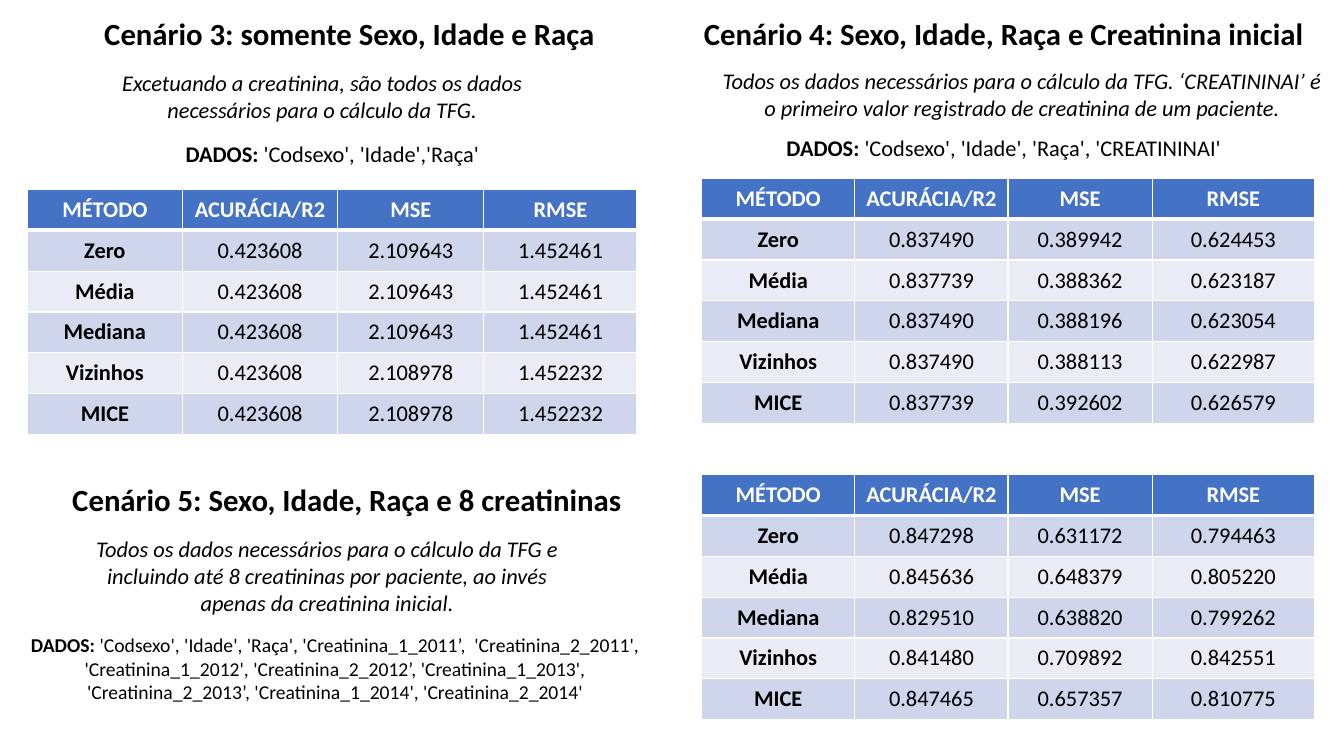
from dataclasses import dataclass

from lxml import etree
from pptx import Presentation
from pptx import util as u
from pptx.dml.color import RGBColor
from pptx.enum import text
from pptx.oxml.ns import qn

SLIDE_W, SLIDE_H = 13.33, 7.5
FONT = "Calibri"
BLACK, WHITE = "000000", "FFFFFF"
HEADER_FILL, BANDS = "4472C4", ("CFD5EA", "E9EBF5")
HEADER = ("MÉTODO", "ACURÁCIA/R2", "MSE", "RMSE")
METHODS = ("Zero", "Média", "Mediana", "Vizinhos", "MICE")
ROW_H = 5.4
LEFT_COLS = (11.55, 11.55, 10.88, 11.4)
RIGHT_COLS = (11.4, 11.4, 10.73, 12.08)


@dataclass(frozen=True)
class Box:
    left: float
    top: float
    width: float
    height: float


@dataclass(frozen=True)
class Label:
    box: Box
    words: str
    size: int = 16


@dataclass(frozen=True)
class Results:
    left: float
    top: float
    cols: tuple[float, ...]
    values: tuple[tuple[str, str, str], ...]


@dataclass(frozen=True)
class Scenario:
    title: Label
    note: Label
    data: Label
    results: Results


SCENARIOS = (
    Scenario(
        Label(Box(4.05, 1.33, 43.89, 6.27), "Cenário 3: somente Sexo, Idade e Raça", 22),
        Label(Box(5.48, 8.53, 36.98, 8.53),
              "Excetuando a creatinina, são todos os dados necessários para o cálculo da TFG."),
        Label(Box(3.38, 17.87, 42.69, 4.93), "'Codsexo', 'Idade','Raça'"),
        Results(2.03, 25.07, LEFT_COLS, (
            ("0.423608", "2.109643", "1.452461"),
            ("0.423608", "2.109643", "1.452461"),
            ("0.423608", "2.109643", "1.452461"),
            ("0.423608", "2.108978", "1.452232"),
            ("0.423608", "2.108978", "1.452232"))),
    ),
    Scenario(
        Label(Box(49.36, 1.33, 50.64, 6.27),
              "Cenário 4: Sexo, Idade, Raça e Creatinina inicial", 22),
        Label(Box(52.74, 8.27, 46.59, 8.53),
              "Todos os dados necessários para o cálculo da TFG. ‘CREATININAI’ é "
              "o primeiro valor registrado de creatinina de um paciente."),
        Label(Box(53.34, 17.07, 42.69, 4.93), "'Codsexo', 'Idade', 'Raça', 'CREATININAI'"),
        Results(52.21, 23.6, RIGHT_COLS, (
            ("0.837490", "0.389942", "0.624453"),
            ("0.837739", "0.388362", "0.623187"),
            ("0.837490", "0.388196", "0.623054"),
            ("0.837490", "0.388113", "0.622987"),
            ("0.837739", "0.392602", "0.626579"))),
    ),
    Scenario(
        Label(Box(1.65, 62.93, 48.31, 6.27), "Cenário 5: Sexo, Idade, Raça e 8 creatininas", 22),
        Label(Box(4.8, 70.13, 39.08, 12.13),
              "Todos os dados necessários para o cálculo da TFG e incluindo até 8 "
              "creatininas por paciente, ao invés apenas da creatinina inicial."),
        Label(Box(1.28, 83.07, 47.34, 10.8),
              "'Codsexo', 'Idade', 'Raça', 'Creatinina_1_2011’,  'Creatinina_2_2011', "
              "'Creatinina_1_2012', 'Creatinina_2_2012’, 'Creatinina_1_2013', "
              "'Creatinina_2_2013’, 'Creatinina_1_2014', 'Creatinina_2_2014'", 14),
        Results(52.21, 62.8, RIGHT_COLS, (
            ("0.847298", "0.631172", "0.794463"),
            ("0.845636", "0.648379", "0.805220"),
            ("0.829510", "0.638820", "0.799262"),
            ("0.841480", "0.709892", "0.842551"),
            ("0.847465", "0.657357", "0.810775"))),
    ),
)


def across(percent: float) -> int:
    return u.Inches(SLIDE_W * percent / 100)


def down(percent: float) -> int:
    return u.Inches(SLIDE_H * percent / 100)


def rgb(value: str) -> RGBColor:
    return RGBColor.from_string(value)


def style(p, size: int, color: str = BLACK) -> None:
    p.alignment = text.PP_ALIGN.CENTER
    p.font.name = FONT
    p.font.size = u.Pt(size)
    p.font.color.rgb = rgb(color)


def add_label(s, label: Label):
    b = label.box
    sp = s.shapes.add_textbox(across(b.left), down(b.top), across(b.width), down(b.height))
    tf = sp.text_frame
    tf.word_wrap = True
    tf.auto_size = text.MSO_AUTO_SIZE.SHAPE_TO_FIT_TEXT
    p = tf.paragraphs[0]
    style(p, label.size)
    return p


def add_borders(cell, top: int, bottom: int) -> None:
    tc_pr = cell._tc.get_or_add_tcPr()
    for side, width in (("L", 1), ("R", 1), ("T", top), ("B", bottom)):
        ln = etree.SubElement(tc_pr, qn(f"a:ln{side}"), w=str(u.Pt(width)))
        fill = etree.SubElement(ln, qn("a:solidFill"))
        etree.SubElement(fill, qn("a:srgbClr"), val=WHITE)


def add_results(s, results: Results) -> None:
    rows = [HEADER] + [(m, *v) for m, v in zip(METHODS, results.values)]
    table = s.shapes.add_table(
        len(rows), len(HEADER), across(results.left), down(results.top),
        across(sum(results.cols)), down(ROW_H * len(rows))).table
    for column, width in zip(table.columns, results.cols):
        column.width = across(width)
    for i, row in enumerate(rows):
        table.rows[i].height = down(ROW_H)
        for j, words in enumerate(row):
            cell = table.cell(i, j)
            add_borders(cell, 3 if i == 1 else 1, 3 if i == 0 else 1)
            cell.fill.solid()
            cell.fill.fore_color.rgb = rgb(BANDS[(i - 1) % 2] if i else HEADER_FILL)
            cell.vertical_anchor = text.MSO_ANCHOR.MIDDLE
            p = cell.text_frame.paragraphs[0]
            p.add_run().text = words
            style(p, 16, BLACK if i else WHITE)
            p.font.bold = i == 0 or j == 0


def add_scenario(s, scenario: Scenario) -> None:
    p = add_label(s, scenario.title)
    p.add_run().text = scenario.title.words
    p.font.bold = True

    p = add_label(s, scenario.data)
    r = p.add_run()
    r.text = "DADOS: "
    r.font.bold = True
    p.add_run().text = scenario.data.words

    p = add_label(s, scenario.note)
    p.add_run().text = scenario.note.words
    p.font.italic = True

    add_results(s, scenario.results)


def main() -> None:
    prs = Presentation()
    prs.slide_width, prs.slide_height = u.Inches(SLIDE_W), u.Inches(SLIDE_H)
    s = prs.slides.add_slide(prs.slide_layouts[6])
    for scenario in SCENARIOS:
        add_scenario(s, scenario)
    prs.save("out.pptx")


if __name__ == "__main__":
    main()
